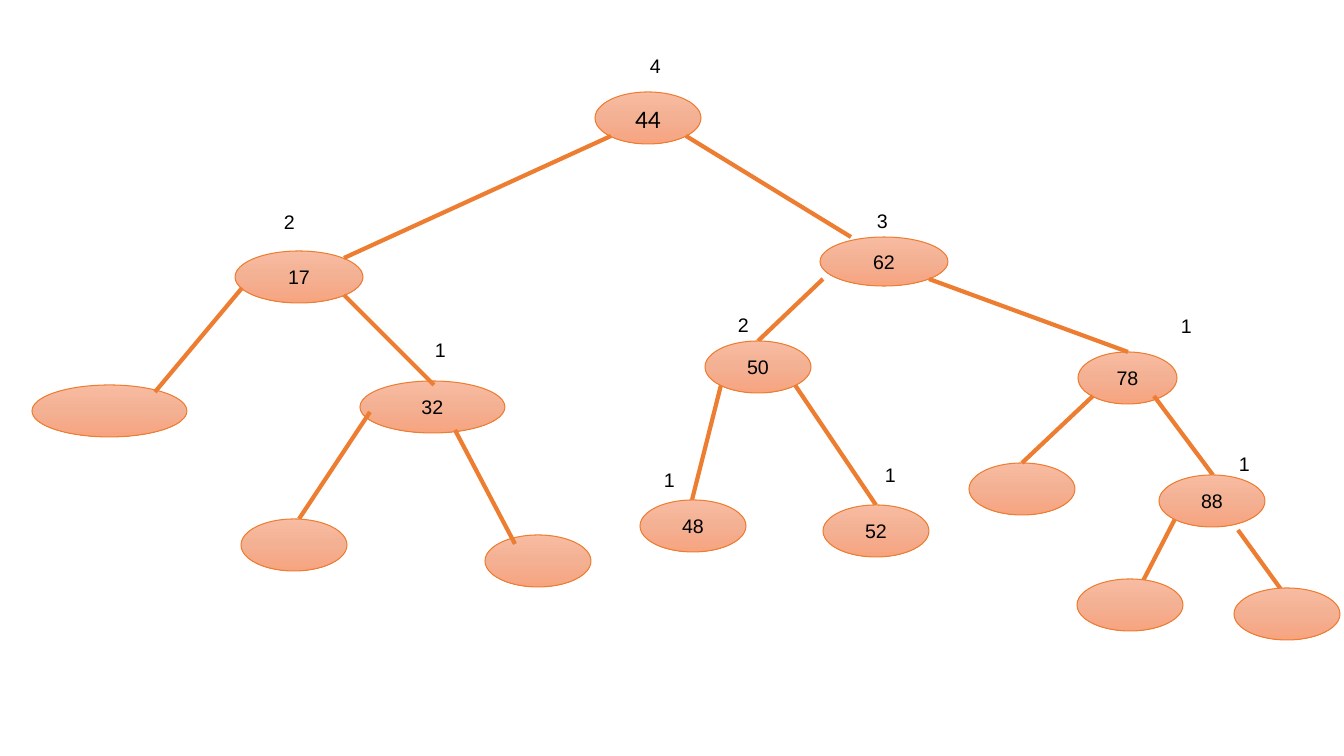
import copy
from dataclasses import dataclass
from typing import Any

import lxml.etree
import pptx
import pptx.dml.color
import pptx.enum.shapes
import pptx.enum.text
import pptx.oxml.ns
import pptx.util

PX = 914400 / 100.8  # EMU in one pixel


@dataclass(frozen=True)
class Theme:
    stops: tuple[tuple[float, str], ...] = ((0, "F7BCA2"), (0.5, "F4B093"), (1, "F7A47F"))
    line: str = "ED7D31"
    text: str = "000000"
    font: str = "Arial"
    root_font: str = "Calibri"
    size: int = 14
    root_size: int = 18
    outline: float = 0.75
    edge: float = 3


@dataclass(frozen=True)
class Node:
    left: int
    top: int
    key: str = ""
    width: int = 106
    height: int = 52
    font: str = Theme.font
    size: int = Theme.size


@dataclass(frozen=True)
class Edge:
    x1: int
    y1: int
    x2: int
    y2: int


@dataclass(frozen=True)
class HeightLabel:
    left: int
    top: int
    value: str
    width: int = 125
    height: int = 34


THEME = Theme()

# Nodes beneath the edges
UPPER_NODES = [
    Node(595, 92, "44", font=THEME.root_font, size=THEME.root_size),
    Node(235, 251, "17", width=128),
    Node(820, 237, "62", width=128, height=49),
    Node(969, 463),
    Node(1078, 352, "78", width=99),
    Node(32, 385, width=155),
    Node(360, 381, "32", width=145),
    Node(485, 535),
]

# Nodes that cover the edge ends
LOWER_NODES = [
    Node(241, 519),
    Node(705, 341, "50"),
    Node(823, 505, "52"),
    Node(1159, 475, "88"),
    Node(640, 500, "48"),
    Node(1077, 579),
    Node(1234, 588),
]

# Edges run from parent to child
EDGES = [
    Edge(611, 136, 344, 258),
    Edge(686, 136, 851, 237),
    Edge(242, 288, 155, 392),
    Edge(344, 295, 434, 385),
    Edge(370, 412, 299, 519),
    Edge(455, 430, 515, 544),
    Edge(823, 279, 758, 341),
    Edge(929, 279, 1128, 352),
    Edge(721, 385, 692, 500),
    Edge(795, 385, 876, 505),
    Edge(1093, 396, 1022, 463),
    Edge(1154, 396, 1213, 475),
    Edge(1175, 519, 1128, 610),
    Edge(1238, 530, 1296, 610),
]

LABELS = [
    HeightLabel(640, 49, "4", width=76),
    HeightLabel(274, 205, "2"),
    HeightLabel(867, 204, "3"),
    HeightLabel(425, 333, "1"),
    HeightLabel(728, 308, "2"),
    HeightLabel(1171, 309, "1"),
    HeightLabel(654, 463, "1"),
    HeightLabel(875, 458, "1"),
    HeightLabel(1229, 447, "1"),
]


def emu(*pixels: int) -> list[pptx.util.Emu]:
    return [pptx.util.Emu(round(n * PX)) for n in pixels]


def rgb(code: str) -> pptx.dml.color.RGBColor:
    return pptx.dml.color.RGBColor.from_string(code)


def add_run(p: Any, text: str, font: str, size: int) -> None:
    r = p.add_run()
    r.text = text
    r.font.name = font
    r.font.size = pptx.util.Pt(size)
    r.font.color.rgb = rgb(THEME.text)


def draw_node(s: Any, node: Node) -> None:
    sp = s.shapes.add_shape(pptx.enum.shapes.MSO_SHAPE.OVAL,
                            *emu(node.left, node.top, node.width, node.height))
    sp.shadow.inherit = False
    sp.line.color.rgb = rgb(THEME.line)
    sp.line.width = pptx.util.Pt(THEME.outline)

    # Gradient from top to bottom, with a third stop
    sp.fill.gradient()
    sp.fill.gradient_angle = 270
    first = sp._element.spPr.xpath(".//a:gs")[0]
    first.addnext(copy.deepcopy(first))
    for stop, (position, color) in zip(sp.fill.gradient_stops, THEME.stops):
        stop.position = position
        stop.color.rgb = rgb(color)

    if node.key:
        tf = sp.text_frame
        tf.margin_left = tf.margin_right = tf.margin_top = tf.margin_bottom = 0
        tf.vertical_anchor = pptx.enum.text.MSO_ANCHOR.MIDDLE
        p = tf.paragraphs[0]
        p.alignment = pptx.enum.text.PP_ALIGN.CENTER
        add_run(p, node.key, node.font, node.size)


def draw_edge(s: Any, edge: Edge) -> None:
    cxn = s.shapes.add_connector(pptx.enum.shapes.MSO_CONNECTOR.STRAIGHT,
                                 *emu(edge.x1, edge.y1, edge.x2, edge.y2))
    cxn.line.color.rgb = rgb(THEME.line)
    cxn.line.width = pptx.util.Pt(THEME.edge)
    lxml.etree.SubElement(cxn._element.spPr, pptx.oxml.ns.qn("a:effectLst"))


def draw_label(s: Any, label: HeightLabel) -> None:
    sp = s.shapes.add_textbox(*emu(label.left, label.top, label.width, label.height))
    tf = sp.text_frame
    tf.word_wrap = True
    tf.auto_size = pptx.enum.text.MSO_AUTO_SIZE.SHAPE_TO_FIT_TEXT
    add_run(tf.paragraphs[0], label.value, THEME.font, THEME.size)


prs = pptx.Presentation()
prs.slide_width, prs.slide_height = emu(1344, 756)
s = prs.slides.add_slide(prs.slide_layouts[6])

# Tree, from back to front
for node in UPPER_NODES:
    draw_node(s, node)
for edge in EDGES:
    draw_edge(s, edge)
for node in LOWER_NODES:
    draw_node(s, node)

# Subtree heights
for label in LABELS:
    draw_label(s, label)

prs.save("out.pptx")
